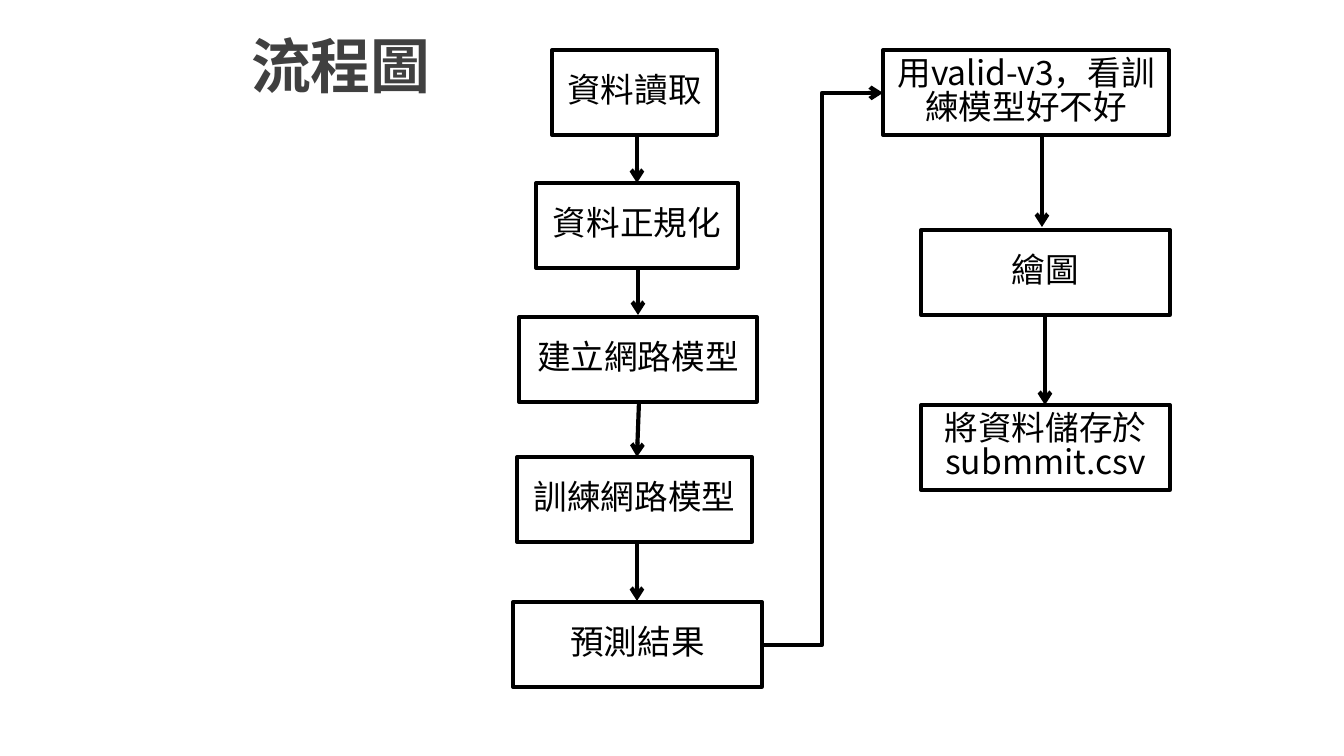
from dataclasses import dataclass

import lxml.etree
import pptx
import pptx.dml.color
import pptx.enum.shapes
import pptx.enum.text
import pptx.oxml.ns
import pptx.util

EMU_PER_PIXEL = 914400 / 134.4
FONT = "Noto Sans CJK SC"
COLORS = {"ink": "000000", "heading": "404040", "paper": "FFFFFF"}
STEP_HEIGHT = 85
MIDDLE = pptx.enum.text.MSO_ANCHOR.MIDDLE
CENTER = pptx.enum.text.PP_ALIGN.CENTER
LEFT = pptx.enum.text.PP_ALIGN.LEFT
STRAIGHT = pptx.enum.shapes.MSO_CONNECTOR.STRAIGHT
ELBOW = pptx.enum.shapes.MSO_CONNECTOR.ELBOW


@dataclass
class Step:
    text: str
    left: int
    top: int
    width: int


@dataclass
class Arrow:
    start: tuple[int, int]
    end: tuple[int, int]
    kind: int = STRAIGHT


STEPS = [
    Step("資料讀取", 552, 50, 165),
    Step("資料正規化", 536, 183, 202),
    Step("建立網路模型", 519, 317, 238),
    Step("訓練網路模型", 517, 457, 235),
    Step("預測結果", 513, 602, 249),
    Step("用valid-v3，看訓練模型好不好", 883, 50, 286),
    Step("繪圖", 921, 230, 249),
    Step("將資料儲存於\nsubmmit.csv", 921, 405, 249),
]
ARROWS = [
    Arrow((637, 134), (637, 183)),
    Arrow((638, 267), (638, 315)),
    Arrow((639, 402), (637, 457)),
    Arrow((637, 542), (637, 601)),
    Arrow((761, 645), (883, 93), ELBOW),
    Arrow((1042, 137), (1042, 227)),
    Arrow((1045, 314), (1045, 405)),
]


def px(pixels: int) -> pptx.util.Emu:
    return pptx.util.Emu(round(pixels * EMU_PER_PIXEL))


def color(name: str) -> pptx.dml.color.RGBColor:
    return pptx.dml.color.RGBColor.from_string(COLORS[name])


def write_text(shape, text: str, align, spacing: float, style: dict) -> None:
    frame = shape.text_frame
    frame.word_wrap = True
    frame.vertical_anchor = MIDDLE
    frame.text = text
    for paragraph in frame.paragraphs:
        paragraph.alignment = align
        paragraph.line_spacing = spacing
        for run in paragraph.runs:
            for attribute, value in style.items():
                setattr(run.font, attribute, value)
            run.font.color.rgb = color("heading" if style["bold"] else "ink")
            properties = run._r.get_or_add_rPr()
            east_asian = lxml.etree.SubElement(properties, pptx.oxml.ns.qn("a:ea"))
            east_asian.set("typeface", FONT)


def draw_step(slide, step: Step) -> None:
    box = slide.shapes.add_shape(
        pptx.enum.shapes.MSO_SHAPE.RECTANGLE,
        *map(px, (step.left, step.top, step.width, STEP_HEIGHT)),
    )
    box.shadow.inherit = False
    box.fill.solid()
    box.fill.fore_color.rgb = color("paper")
    box.line.color.rgb = color("ink")
    box.line.width = pptx.util.Pt(2)
    style = {"name": FONT, "size": pptx.util.Pt(18), "bold": False}
    write_text(box, step.text, CENTER, 0.85, style)


def draw_arrow(slide, arrow: Arrow) -> None:
    connector = slide.shapes.add_connector(
        arrow.kind, *map(px, arrow.start + arrow.end)
    )
    connector.line.color.rgb = color("ink")
    connector.line.width = pptx.util.Pt(2.25)
    qn = pptx.oxml.ns.qn
    lxml.etree.SubElement(connector.line._get_or_add_ln(), qn("a:tailEnd")).set("type", "arrow")
    lxml.etree.SubElement(connector._element.spPr, qn("a:effectLst"))


def draw_heading(slide) -> None:
    heading = slide.shapes.add_textbox(*map(px, (238, 0, 1106, 130)))
    style = {"name": FONT, "size": pptx.util.Pt(32), "bold": True}
    write_text(heading, "流程圖", LEFT, 1.0, style)


def main() -> None:
    presentation = pptx.Presentation()
    presentation.slide_width = px(1344)
    presentation.slide_height = px(756)
    slide = presentation.slides.add_slide(presentation.slide_layouts[6])
    draw_heading(slide)
    for step in STEPS:
        draw_step(slide, step)
    for arrow in ARROWS:
        draw_arrow(slide, arrow)
    presentation.save("out.pptx")


main()
